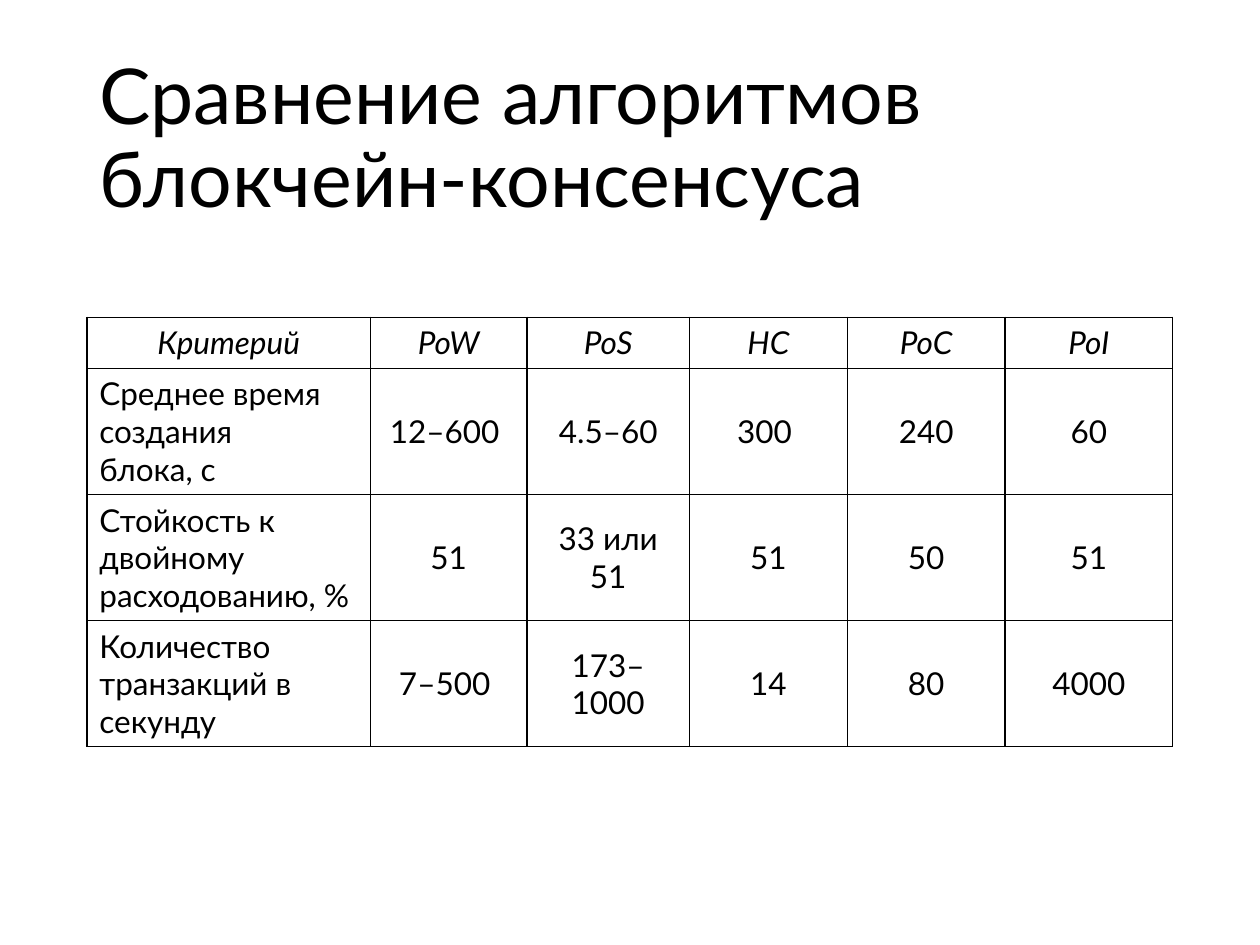
import pptx
import pptx.util
import pptx.dml.color
import pptx.enum.text
import pptx.oxml
import pptx.oxml.ns
from pptx.util import Cm

COLORS = {"text": "000000", "border": "000000"}
FONT = "Lato"
COLUMN_WIDTHS = [5.72, 3.15, 3.28, 3.18, 3.18, 3.38]
ROW_HEIGHTS = [1.03, 2.54, 2.54, 2.54]
ROWS = [
    ["Критерий", "PoW", "PoS", "HC", "PoC", "PoI"],
    ["Среднее время создания\vблока, с", "12–600 ", "4.5–60", "300 ", "240", "60"],
    ["Стойкость к\vдвойному расходованию, %", "51", "33 или 51", "51", "50", "51"],
    ["Количество\vтранзакций в\vсекунду", "7–500 ", "173–1000", "14", "80", "4000"],
]


def format_paragraph(para, size, align, italic=False):
    """Set the font and alignment of one paragraph."""
    para.alignment = align
    para.font.name = FONT
    para.font.size = pptx.util.Pt(size)
    para.font.bold = False
    para.font.italic = italic
    para.font.color.rgb = pptx.dml.color.RGBColor.from_string(COLORS["text"])


def add_borders(cell, width=1):
    """Draw a solid line on all four sides of a cell."""
    properties = cell._tc.get_or_add_tcPr()
    for side in ("lnL", "lnR", "lnT", "lnB"):
        properties.append(pptx.oxml.parse_xml(
            f'<a:{side} {pptx.oxml.ns.nsdecls("a")} w="{pptx.util.Pt(width)}">'
            f'<a:solidFill><a:srgbClr val="{COLORS["border"]}"/></a:solidFill>'
            f'</a:{side}>'))


def add_title(page, text):
    """Place and fill the title placeholder."""
    title = page.shapes.title
    title.left, title.top, title.width, title.height = Cm(1.75), Cm(1.01), Cm(21.9), Cm(3.68)
    frame = title.text_frame
    frame.text = text
    frame.word_wrap = True
    frame.auto_size = pptx.enum.text.MSO_AUTO_SIZE.NONE
    frame.vertical_anchor = pptx.enum.text.MSO_ANCHOR.MIDDLE
    para = frame.paragraphs[0]
    para.line_spacing = 0.9
    format_paragraph(para, 44, pptx.enum.text.PP_ALIGN.LEFT)


def add_comparison_table(page):
    """Add the table that compares the consensus algorithms."""
    table = page.shapes.add_table(
        len(ROWS), len(COLUMN_WIDTHS), Cm(1.75), Cm(6.4),
        Cm(sum(COLUMN_WIDTHS)), Cm(sum(ROW_HEIGHTS))).table
    table.first_row = table.horz_banding = False
    for column, width in zip(table.columns, COLUMN_WIDTHS):
        column.width = Cm(width)
    for row, height in zip(table.rows, ROW_HEIGHTS):
        row.height = Cm(height)
    for row_index, texts in enumerate(ROWS):
        for column_index, text in enumerate(texts):
            is_header = row_index == 0
            is_label = column_index == 0 and not is_header
            cell = table.cell(row_index, column_index)
            cell.text_frame.text = text
            if not is_header and not is_label:
                cell.vertical_anchor = pptx.enum.text.MSO_ANCHOR.MIDDLE
            add_borders(cell)
            cell.fill.background()
            align = pptx.enum.text.PP_ALIGN.LEFT if is_label else pptx.enum.text.PP_ALIGN.CENTER
            format_paragraph(cell.text_frame.paragraphs[0], 18, align, is_header)


def main():
    """Build the slide and save the deck."""
    deck = pptx.Presentation()
    deck.slide_width, deck.slide_height = Cm(25.4), Cm(19.05)
    page = deck.slides.add_slide(deck.slide_layouts.get_by_name("Title Only"))
    add_title(page, "Сравнение алгоритмов блокчейн-консенсуса")
    add_comparison_table(page)
    deck.save("out.pptx")


main()
